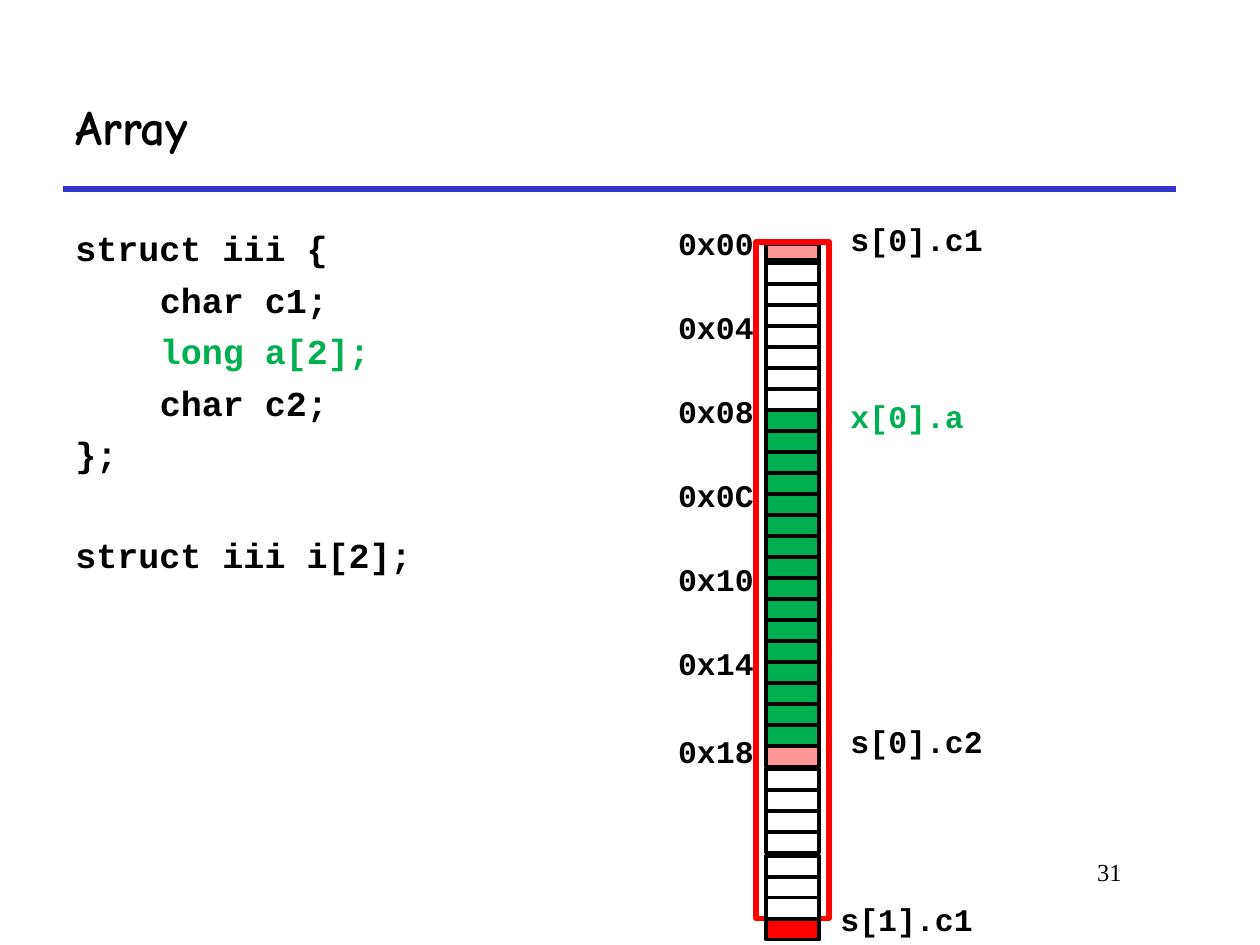
from pptx import Presentation
from pptx.dml.color import RGBColor
from pptx.enum.shapes import MSO_CONNECTOR, MSO_SHAPE
from pptx.enum.text import MSO_ANCHOR, PP_ALIGN
from pptx.oxml.ns import qn
from pptx.util import Inches, Pt
from lxml.etree import SubElement

COLORS = {"black": "000000", "blue": "3333CC", "green": "00B050",
          "pink": "FF9797", "red": "FF0000", "white": "FFFFFF"}
CODE = "Courier New"
CELL_LEFT, CELL_WIDTH, CELL_HEIGHT = 6.08, 0.42, 1 / 6
STACK_TOP = 1.92


class SlideBuilder:
    """Draws styled elements on the current slide."""

    def __init__(self, page):
        self.page = page

    def color(self, name):
        return RGBColor.from_string(COLORS[name])

    def rule(self, left, right, top):
        line = self.page.shapes.add_connector(
            MSO_CONNECTOR.STRAIGHT, Inches(left), Inches(top), Inches(right), Inches(top))
        line.line.color.rgb = self.color("blue")
        line.line.width = Pt(3)
        SubElement(line._element.spPr, qn("a:effectLst"))

    def rect(self, left, top, width, height, fill=None, line="black", weight=2.25):
        box = self.page.shapes.add_shape(
            MSO_SHAPE.RECTANGLE, Inches(left), Inches(top), Inches(width), Inches(height))
        box.shadow.inherit = False
        if fill:
            box.fill.solid()
            box.fill.fore_color.rgb = self.color(fill)
        else:
            box.fill.background()
        box.line.color.rgb = self.color(line)
        box.line.width = Pt(weight)

    def cells(self, top, count, fill=None):
        for row in range(count):
            self.rect(CELL_LEFT, top + row * CELL_HEIGHT, CELL_WIDTH, CELL_HEIGHT, fill)

    def text(self, left, top, width, height, lines, size=18, font=CODE, bold=True,
             align=PP_ALIGN.LEFT, anchor=MSO_ANCHOR.TOP, inset=0.1):
        box = self.page.shapes.add_textbox(
            Inches(left), Inches(top), Inches(width), Inches(height))
        frame = box.text_frame
        frame.word_wrap = True
        frame.vertical_anchor = anchor
        frame.margin_left = Inches(inset)
        for number, (words, color, before, indent) in enumerate(lines):
            para = frame.paragraphs[0] if number == 0 else frame.add_paragraph()
            para.text = words
            para.alignment = align
            para.space_before = Pt(before)
            para.font.size = Pt(size)
            para.font.name = font
            para.font.bold = bold
            para.font.color.rgb = self.color(color)
            if indent:
                para._p.get_or_add_pPr().set("marL", str(Inches(indent)))

    def address(self, words, top):
        self.text(5.25, top, 0.83, 0.4, [(words, "black", 4.9, 0)], align=PP_ALIGN.RIGHT)

    def member(self, words, top, left=6.5, color="black"):
        self.text(left, top, 1.5, 0.4, [(words, color, 4.9, 0)], inset=0.25)


deck = Presentation()
deck.slide_width, deck.slide_height = Inches(10), Inches(7.5)
slide = SlideBuilder(deck.slides.add_slide(deck.slide_layouts[6]))

slide.rule(0.5, 9.33, 1.5)
slide.text(7.58, 6.75, 1.42, 0.5, [("31", "black", 0, 0)], 14, "Times New Roman",
           False, PP_ALIGN.RIGHT)
slide.text(0.5, 0.5, 8.83, 1, [("Array", "black", 0, 0)], 28, "Comic Neue",
           anchor=MSO_ANCHOR.MIDDLE)
slide.text(0.5, 1.75, 3.33, 4.25, [
    ("struct iii {", "black", 5.4, 0),
    ("char c1;", "black", 5.4, 0.67),
    ("long a[2];", "green", 5.4, 0.67),
    ("char c2;", "black", 5.4, 0.67),
    ("};", "black", 5.4, 0),
    ("struct iii i[2];", "black", 33.5, 0),
], 20)

slide.cells(STACK_TOP, 8)
slide.rect(CELL_LEFT, 1.94, CELL_WIDTH, 0.12, "pink")
slide.cells(STACK_TOP + 24 * CELL_HEIGHT, 1, "pink")
slide.rect(6, STACK_TOP, 0.58, 5.37, line="red", weight=3)
slide.cells(STACK_TOP + 8 * CELL_HEIGHT, 16, "green")
slide.cells(6.1, 4, "white")
slide.cells(6.79, 3, "white")
slide.cells(7.29, 1, "red")

for step in range(6):
    slide.address(f"0x{4 * step:02X}", 1.73 + step * 4 * CELL_HEIGHT)
slide.address("0x18", 5.76)

slide.member("s[0].c1", 1.7)
slide.member("x[0].a", 3.1, color="green")
slide.member("s[0].c2", 5.68)
slide.member("s[1].c1", 7.09, left=6.42)

deck.save("out.pptx")
